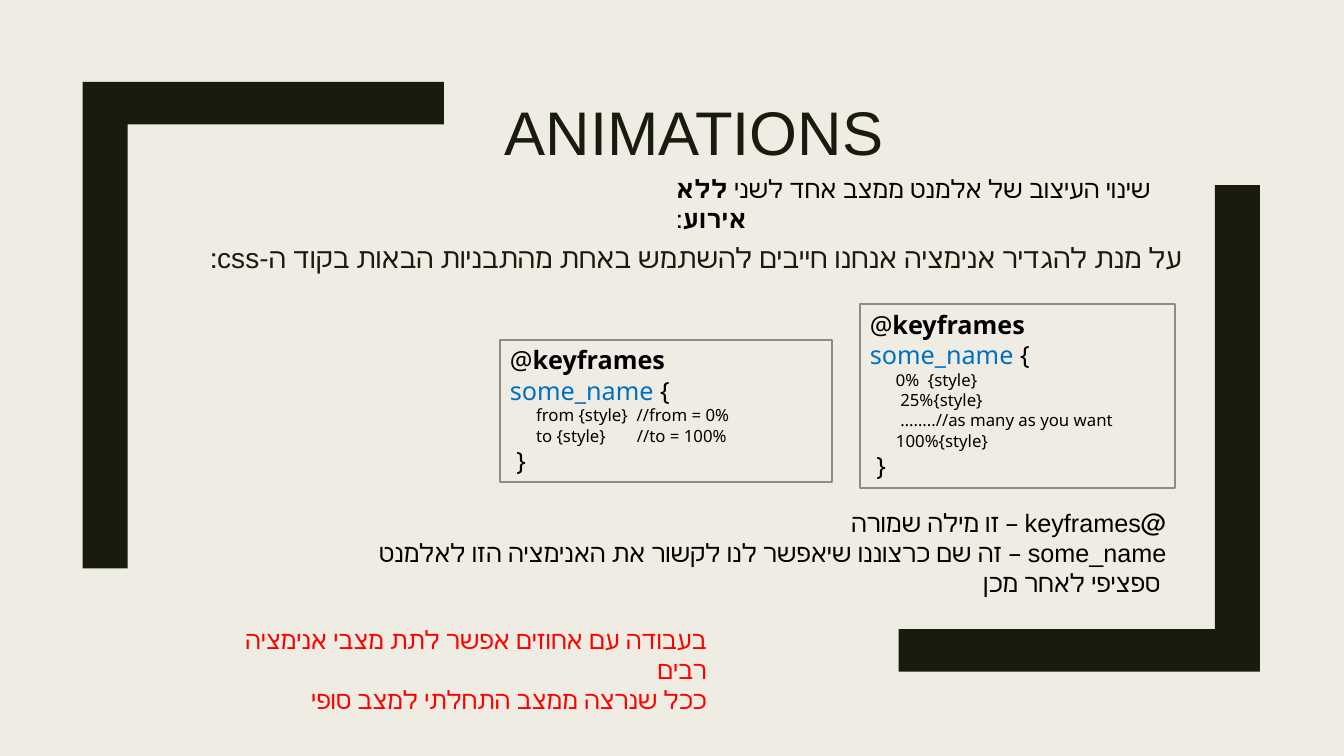
from dataclasses import dataclass
from typing import Optional

from lxml.etree import SubElement
from pptx import Presentation
from pptx.dml.color import RGBColor
from pptx.enum.shapes import MSO_SHAPE as Preset
from pptx.enum.text import MSO_ANCHOR as Anchor, PP_ALIGN as Align
from pptx.oxml.ns import qn
from pptx.util import Pt


@dataclass(frozen=True)
class Theme:
    """Colours, fonts and type sizes of the slide."""
    paper: RGBColor = RGBColor(0xEF, 0xED, 0xE3)
    ink: RGBColor = RGBColor(0x19, 0x1B, 0x0E)
    black: RGBColor = RGBColor(0, 0, 0)
    red: RGBColor = RGBColor(0xFF, 0, 0)
    blue: RGBColor = RGBColor(0x00, 0x70, 0xC0)
    frame: RGBColor = RGBColor(0x8C, 0x8D, 0x86)
    prose: str = "Arial"
    code: str = "Noto Sans"
    title: float = 44
    lead: float = 20
    body: float = 18
    small: float = 12


THEME = Theme()


@dataclass(frozen=True)
class Span:
    """A stretch of text with what sets it apart from its paragraph."""
    text: str
    bold: Optional[bool] = None
    color: Optional[RGBColor] = None
    font: Optional[str] = None


@dataclass(frozen=True)
class Line:
    """A paragraph."""
    spans: tuple[Span, ...]
    size: float = THEME.body
    color: RGBColor = THEME.black
    font: str = THEME.prose
    align: Align = Align.RIGHT
    rtl: bool = True
    spacing: Optional[float] = None
    indent: float = 0
    tab: Optional[float] = None


@dataclass(frozen=True)
class Block:
    """A text area: place in points and its paragraphs."""
    left: float
    top: float
    width: float
    height: float
    lines: tuple[Line, ...]
    framed: bool = False
    anchor: Anchor = Anchor.TOP


@dataclass(frozen=True)
class Bracket:
    """An L-shaped corner; direction -1 turns it by half a turn."""
    corner_x: float
    corner_y: float
    direction: int


def prose(text: str, **style) -> Line:
    """Make a right-to-left paragraph of one span."""
    return Line((Span(text),), **style)


def code(*spans: Span, size: float = THEME.small, indent: float = 18.7,
         tab: Optional[float] = None) -> Line:
    """Make a left-to-right line of code."""
    return Line(spans, size, font=THEME.code, align=Align.LEFT, rtl=False,
                indent=indent, tab=tab)


def keyframes_code(*steps: Line) -> tuple[Line, ...]:
    """Wrap steps in the head and closing brace of a keyframes rule."""
    head = code(Span("@"), Span("keyframes  ", bold=True),
                Span("some_name ", color=THEME.blue), Span("{"),
                size=THEME.body, indent=0)
    return head, *steps, code(Span("}"), size=THEME.body, indent=4.7)


def fill_paragraph(paragraph, line: Line) -> None:
    """Write one line into a paragraph."""
    paragraph.alignment = line.align
    if line.spacing:
        paragraph.line_spacing = line.spacing
    properties = paragraph._p.get_or_add_pPr()
    properties.set("rtl", str(int(line.rtl)))
    if line.indent:
        properties.set("marL", str(Pt(line.indent)))
        properties.set("indent", "0")
    if line.tab:
        stops = SubElement(properties, qn("a:tabLst"))
        SubElement(stops, qn("a:tab"), pos=str(Pt(line.tab)), algn="l")
    font = paragraph.font
    font.size, font.name = Pt(line.size), line.font
    font.color.rgb = line.color
    for span in line.spans:
        run = paragraph.add_run()
        run.text = span.text
        if span.bold:
            run.font.bold = True
        if span.color is not None:
            run.font.color.rgb = span.color
        if span.font:
            run.font.name = span.font


def draw_block(shapes, block: Block) -> None:
    """Draw a text block, with a frame if it has one."""
    place = [Pt(n) for n in (block.left, block.top, block.width, block.height)]
    if block.framed:
        area = shapes.add_shape(Preset.RECTANGLE, *place)
        area.shadow.inherit = False
        area.fill.background()
        area.line.color.rgb = THEME.frame
        area.line.width = Pt(1.5)
    else:
        area = shapes.add_textbox(*place)
    frame = area.text_frame
    frame.word_wrap = True
    frame.vertical_anchor = block.anchor
    for index, line in enumerate(block.lines):
        paragraph = frame.add_paragraph() if index else frame.paragraphs[0]
        fill_paragraph(paragraph, line)


def draw_bracket(shapes, bracket: Bracket) -> None:
    """Draw an L-shaped corner."""
    across, down, post, beam = 258, 347.5, 32.2, 30.4
    outline = [(0, 0), (across, 0), (across, beam), (post, beam),
               (post, down), (0, down)]
    points = [(Pt(bracket.corner_x + bracket.direction * x),
               Pt(bracket.corner_y + bracket.direction * y)) for x, y in outline]
    builder = shapes.build_freeform(*points[0])
    builder.add_line_segments(points[1:], close=True)
    shape = builder.convert_to_shape()
    shape.shadow.inherit = False
    shape.fill.solid()
    shape.fill.fore_color.rgb = THEME.ink
    shape.line.fill.background()


BRACKETS = (Bracket(900, 479.7, -1), Bracket(59, 58.4, 1))

BLOCKS = (
    Block(136, 55.4, 720, 68.4, (
        prose("ANIMATIONS", size=THEME.title, color=THEME.ink,
              align=Align.CENTER, spacing=0.89),), anchor=Anchor.BOTTOM),
    Block(131.8, 165.6, 720, 51.8, (
        prose("על מנת להגדיר אנימציה אנחנו חייבים להשתמש באחת מהתבניות הבאות בקוד ה-css:",
              size=THEME.lead, color=THEME.ink, spacing=1.12),)),
    Block(357.1, 242.6, 236.9, 101.5, keyframes_code(
        code(Span("from\u00a0{style}  //from = 0%")),
        code(Span("to {style}\t//to = 100%"), tab=87.1)), framed=True),
    Block(614.2, 217.4, 225.4, 131, keyframes_code(
        code(Span("0", font=THEME.prose), Span("%\u00a0\u00a0{style}")),
        code(Span("25%{style}"), indent=21.8),
        code(Span("……..//as many as you want"), indent=21.8),
        code(Span("100%{style}"))), framed=True),
    Block(140.4, 442.1, 371.5, 72.7, (
        prose("בעבודה עם אחוזים אפשר לתת מצבי אנימציה רבים", color=THEME.red),
        prose("ככל שנרצה ממצב התחלתי למצב סופי", color=THEME.red))),
    Block(475.9, 120.2, 380.2, 29, (
        Line((Span("שינוי העיצוב של אלמנט ממצב אחד לשני "),
              Span("ללא אירוע", bold=True), Span(":")), align=Align.LEFT),)),
    Block(200.9, 358.6, 639.4, 72.7, (
        prose("@keyframes – זו מילה שמורה"),
        prose("some_name – זה שם כרצוננו שיאפשר לנו לקשור את האנימציה הזו לאלמנט"),
        prose(" ספציפי לאחר מכן"))),
)


def main() -> None:
    """Build the slide and save it."""
    deck = Presentation()
    deck.slide_width, deck.slide_height = Pt(960), Pt(540)
    slide = deck.slides.add_slide(deck.slide_layouts[6])
    slide.background.fill.solid()
    slide.background.fill.fore_color.rgb = THEME.paper
    for bracket in BRACKETS:
        draw_bracket(slide.shapes, bracket)
    for block in BLOCKS:
        draw_block(slide.shapes, block)
    deck.save("out.pptx")


main()
